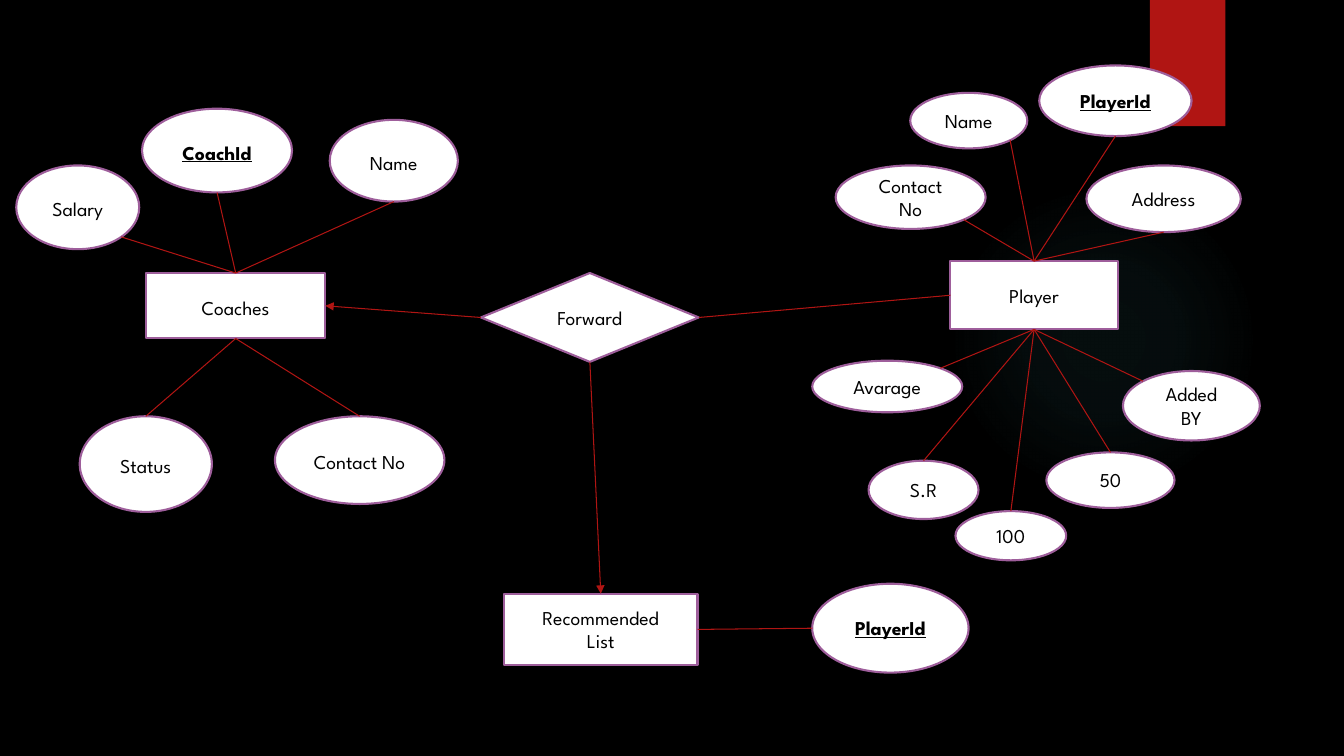
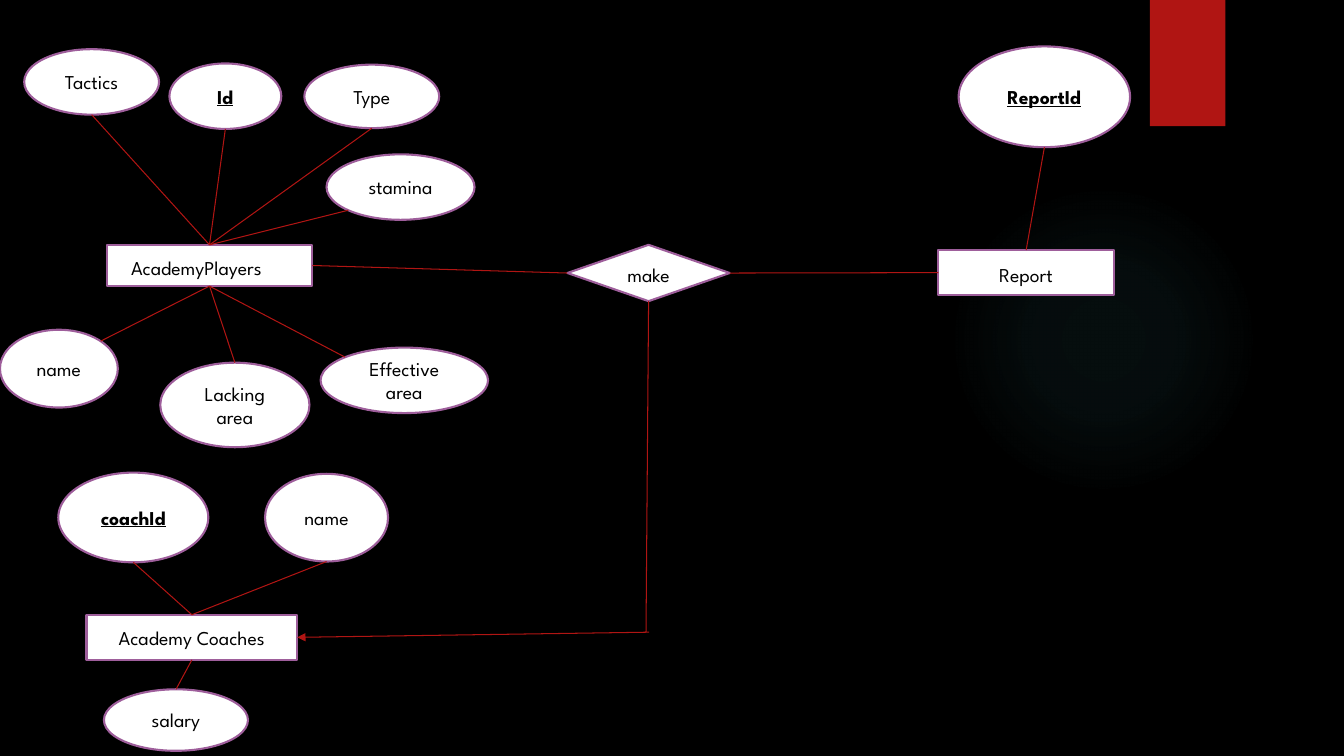
from math import sqrt
from typing import NamedTuple

from lxml import etree
from pptx import Presentation
from pptx.dml.color import RGBColor
from pptx.enum.shapes import MSO_CONNECTOR, MSO_SHAPE
from pptx.enum.text import PP_ALIGN
from pptx.oxml import parse_xml
from pptx.oxml.ns import nsdecls, qn
from pptx.util import Cm, Pt

RECTANGLE, ELLIPSE, DIAMOND = MSO_SHAPE.RECTANGLE, MSO_SHAPE.OVAL, MSO_SHAPE.DIAMOND
STRAIGHT = MSO_CONNECTOR.STRAIGHT
LEFT, CENTER = PP_ALIGN.LEFT, PP_ALIGN.CENTER

BLACK, WHITE, RED, PURPLE, TEAL = "000000", "FFFFFF", "B01513", "9E5E9B", "50B9C1"
FONT = "League Spartan"

# Connection sites in the order an ellipse numbers them; other shapes have every second one
SITES = ["top", "top left", "left", "bottom left", "bottom", "bottom right", "right", "top right"]
OPPOSITE = {"top": "bottom", "bottom": "top", "left": "right", "right": "left"}


class Node(NamedTuple):
    """A labelled shape, in centimetres; site is where an attribute's line leaves it."""
    text: str
    left: float
    top: float
    width: float
    height: float
    site: str = ""
    key: bool = False
    loose: bool = False
    indent: float = 0


class Link(NamedTuple):
    """A line from one side of the relation to an entity, bent between two points if given."""
    side: str
    entity: str
    arrow: bool = False
    bend: tuple = ()


DIAGRAMS = [
    {
        "entities": [
            (Node("Player", 23.95, 6.58, 4.22, 1.72), [
                Node("Name", 22.94, 2.34, 2.95, 1.4, "bottom right"),
                Node("PlayerId", 26.19, 1.65, 3.84, 1.78, "bottom", key=True),
                Node("Contact No", 21.06, 4.17, 3.78, 1.6, "bottom right"),
                Node("Address", 27.38, 4.17, 3.89, 1.68, "bottom"),
                Node("Avarage", 20.47, 9.09, 3.78, 1.3, "top right"),
                Node("S.R", 21.89, 11.61, 2.77, 1.47, "top"),
                Node("50", 26.37, 11.4, 3.23, 1.4, "top"),
                Node("100", 24.08, 12.88, 2.79, 1.24, "top"),
                Node("Added BY", 28.3, 9.35, 3.45, 1.75, "top left"),
            ]),
            (Node("Coaches", 3.68, 6.88, 4.52, 1.65, loose=True), [
                Node("CoachId", 3.58, 2.74, 3.78, 2.11, "bottom", key=True, loose=True),
                Node("Name", 8.31, 3.02, 3.23, 2.06, "bottom", loose=True),
                Node("Status", 2.01, 10.49, 3.33, 2.41, "top", loose=True),
                Node("Salary", 0.41, 4.17, 3.1, 2.11, "bottom right", loose=True),
                Node("Contact No", 6.93, 10.49, 4.27, 2.21, "top", loose=True),
            ]),
            (Node("Recommended\nList", 12.7, 14.96, 4.88, 1.8), [
                Node("PlayerId", 20.47, 14.71, 3.94, 2.24, "left", key=True),
            ]),
        ],
        "relation": Node("Forward", 12.12, 6.88, 5.49, 2.24),
        "links": [
            Link("right", "Player"),
            Link("bottom", "Recommended\nList", arrow=True),
            Link("left", "Coaches", arrow=True),
        ],
    },
    {
        "entities": [
            (Node("AcademyPlayers", 2.69, 6.17, 5.18, 1.04, loose=True, indent=0.36), [
                Node("Tactics", 0.61, 1.24, 3.4, 1.65, "bottom"),
                Node("Id", 4.27, 1.6, 2.82, 1.65, "bottom", key=True),
                Node("Type", 7.67, 1.63, 3.4, 1.6, "bottom"),
                Node("name", 0, 8.31, 2.97, 1.96, "top right"),
                Node("stamina", 8.23, 3.89, 3.73, 1.65, "bottom left"),
                Node("Effective area", 8.08, 8.76, 4.22, 1.65, "top left"),
                Node("Lacking area", 4.04, 9.14, 3.76, 2.13, "top"),
            ]),
            (Node("Report", 23.65, 6.3, 4.42, 1.14, loose=True), [
                Node("ReportId", 24.16, 1.17, 4.32, 2.54, "bottom", key=True),
            ]),
            (Node("Academy Coaches", 2.18, 15.49, 5.31, 1.14), [
                Node("coachId", 1.47, 11.91, 3.78, 2.26, "bottom", key=True),
                Node("salary", 2.62, 17.37, 3.63, 1.55, "top"),
                Node("name", 6.68, 11.94, 3.1, 2.21, "bottom"),
            ]),
        ],
        "relation": Node("make", 14.3, 6.17, 4.09, 1.42, loose=True),
        "links": [
            Link("left", "AcademyPlayers"),
            Link("right", "Report"),
            Link("bottom", "Academy Coaches", arrow=True, bend=((16.28, 15.93), (16.36, 15.93))),
        ],
    },
]


def color(value):
    return RGBColor.from_string(value)


def add_plain_shape(slide, kind, left, top, width, height, fill):
    shape = slide.shapes.add_shape(kind, Cm(left), Cm(top), Cm(width), Cm(height))
    shape.shadow.inherit = False
    shape.fill.solid()
    shape.fill.fore_color.rgb = color(fill)
    shape.line.fill.background()
    return shape


def add_node(slide, kind, node):
    shape = add_plain_shape(slide, kind, *node[1:5], WHITE)
    shape.line.fill.solid()
    shape.line.fill.fore_color.rgb = color(PURPLE)
    shape.line.width = Pt(1.5)
    frame = shape.text_frame
    frame.word_wrap = True
    frame.text = node.text
    if node.indent:
        frame.margin_left += Cm(node.indent)
    for paragraph in frame.paragraphs:
        paragraph.alignment = LEFT if node.indent else CENTER
        if node.loose:
            paragraph.line_spacing = 1.15
            paragraph.space_after = Pt(10)
        for run in paragraph.runs:
            font = run.font
            font.name, font.size = FONT, Pt(14)
            font.color.rgb = color(BLACK)
            if node.key:
                font.bold = font.underline = True
    return shape


def site_point(shape, site):
    """Point on the outline; diagonal sites are those of an ellipse."""
    across = ("right" in site) - ("left" in site)
    down = ("bottom" in site) - ("top" in site)
    reach = 0.5 / sqrt(across ** 2 + down ** 2)
    return (round(shape.left + shape.width * (0.5 + across * reach)),
            round(shape.top + shape.height * (0.5 + down * reach)))


def add_line(slide, start, end, arrow=False):
    """Join two ends, each a (shape, site) pair or a point in centimetres."""
    ends = [(None, "", (Cm(first), Cm(second))) if isinstance(second, (int, float))
            else (first, second, site_point(first, second))
            for first, second in (start, end)]
    connector = slide.shapes.add_connector(STRAIGHT, *ends[0][2], *ends[1][2])
    connector.line.color.rgb = color(RED)
    connector.line.width = Pt(0.75)
    properties = connector.element.spPr
    if arrow:
        etree.SubElement(properties.find(qn("a:ln")), qn("a:tailEnd"), type="triangle")
    etree.SubElement(properties, qn("a:effectLst"))
    glue = next(connector.element.iter(qn("p:cNvCxnSpPr")))
    for tag, (shape, site, _) in zip(("a:stCxn", "a:endCxn"), ends):
        if shape is not None:
            step = 1 if shape.auto_shape_type == ELLIPSE else 2
            etree.SubElement(glue, qn(tag), id=str(shape.shape_id),
                             idx=str(SITES.index(site) // step))


def decorate_layout(layout, slide):
    """Give the layout its background, glow and band, drawn on the slide and moved over."""
    layout.background.fill.solid()
    layout.background.fill.fore_color.rgb = color(BLACK)
    glow = add_plain_shape(slide, ELLIPSE, 23.9, 4.65, 7.82, 7.82, TEAL)
    stops = "".join(
        f'<a:gs pos="{position * 1000}"><a:srgbClr val="{TEAL}">'
        f'<a:alpha val="{alpha * 1000}"/></a:srgbClr></a:gs>'
        for position, alpha in [(0, 7), (36, 6), (69, 0)])
    gradient = parse_xml(
        f'<a:gradFill {nsdecls("a")}><a:gsLst>{stops}</a:gsLst><a:path path="circle">'
        '<a:fillToRect l="50000" t="50000" r="50000" b="50000"/></a:path></a:gradFill>')
    glow_properties = glow.element.spPr
    glow_properties.replace(glow_properties.find(qn("a:solidFill")), gradient)

    band = add_plain_shape(slide, RECTANGLE, 28.98, 0, 1.9, 3.18, RED)
    band.element.spPr.find(qn("a:effectLst")).append(parse_xml(
        f'<a:outerShdw {nsdecls("a")} blurRad="{Pt(3)}" dist="{Pt(2)}" dir="5400000">'
        f'<a:srgbClr val="{BLACK}"><a:alpha val="45000"/></a:srgbClr></a:outerShdw>'))
    for shape in (glow, band):
        layout.shapes.element.append(shape.element)


def draw_diagram(slide, diagram):
    entities = {}
    for entity, attributes in diagram["entities"]:
        box = entities[entity.text] = add_node(slide, RECTANGLE, entity)
        for attribute in attributes:
            oval = add_node(slide, ELLIPSE, attribute)
            entity_side = OPPOSITE[attribute.site.split()[0]]
            add_line(slide, (oval, attribute.site), (box, entity_side))

    relation = add_node(slide, DIAMOND, diagram["relation"])
    for link in diagram["links"]:
        start, side = (relation, link.side), OPPOSITE[link.side]
        if link.bend:
            corner, restart = link.bend
            add_line(slide, start, corner)
            start, side = restart, "right"
        add_line(slide, start, (entities[link.entity], side), link.arrow)


def main():
    presentation = Presentation()
    presentation.slide_width, presentation.slide_height = Cm(33.87), Cm(19.05)
    layout = presentation.slide_layouts[6]
    slides = [presentation.slides.add_slide(layout) for _ in DIAGRAMS]
    decorate_layout(layout, slides[0])
    for slide, diagram in zip(slides, DIAGRAMS):
        draw_diagram(slide, diagram)
    presentation.save("out.pptx")


if __name__ == "__main__":
    main()
